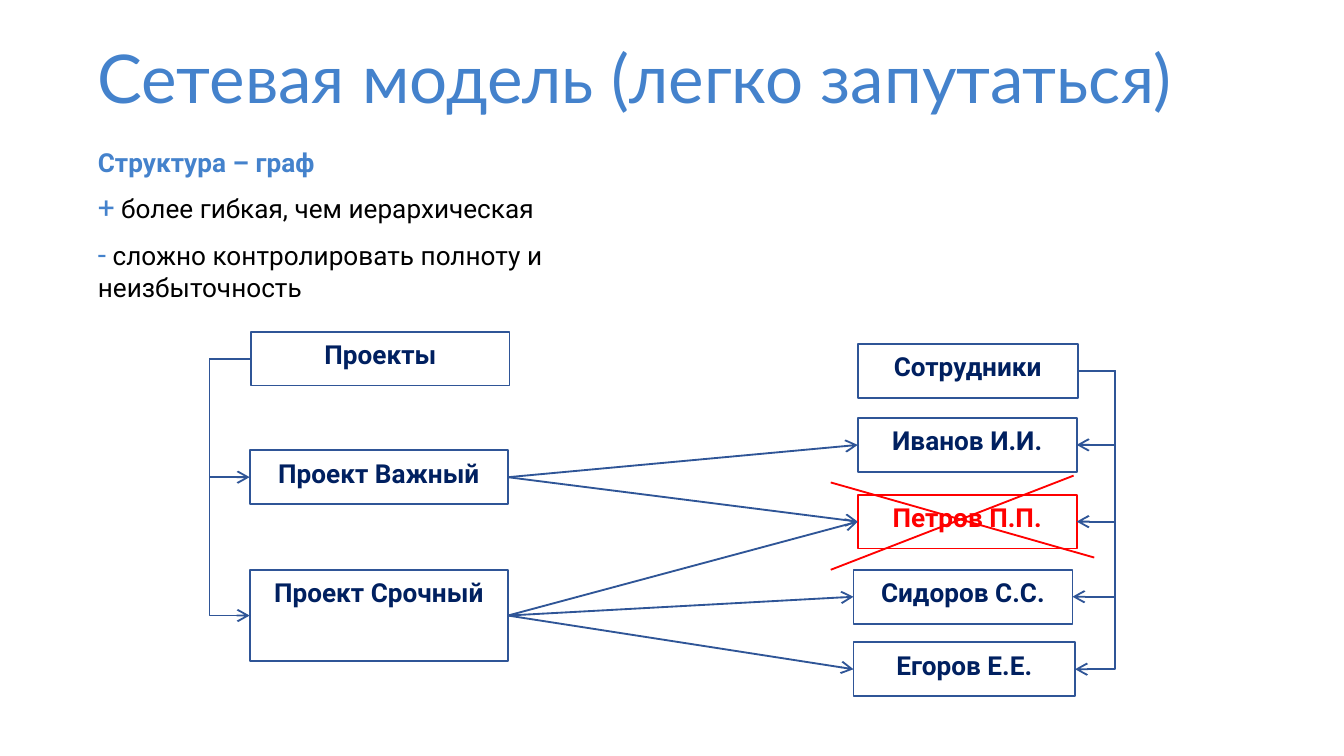
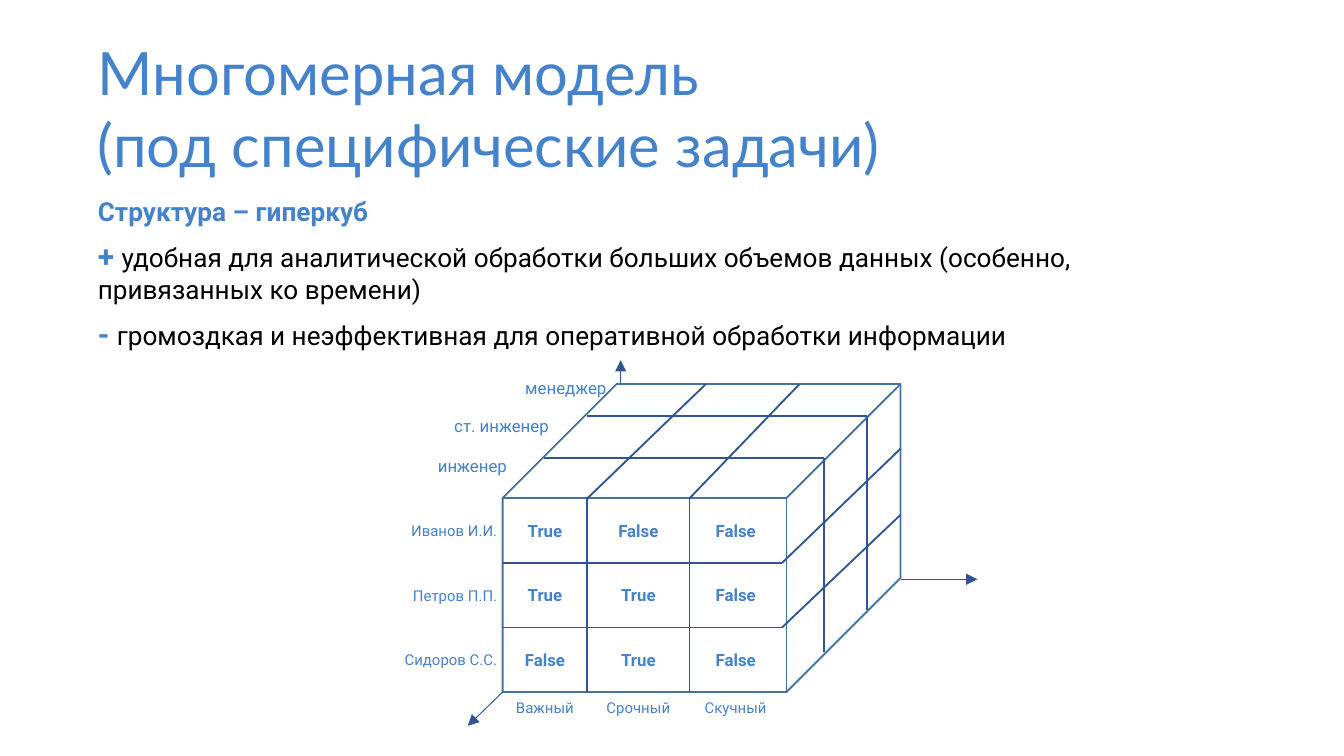
from lxml import etree
from pptx import Presentation
from pptx.dml.color import RGBColor
from pptx.enum.shapes import MSO_CONNECTOR, MSO_SHAPE
from pptx.enum.text import MSO_ANCHOR, PP_ALIGN
from pptx.oxml.ns import qn
from pptx.util import Cm, Pt

STRAIGHT, ELBOW = MSO_CONNECTOR.STRAIGHT, MSO_CONNECTOR.ELBOW
RECTANGLE, CUBE = MSO_SHAPE.RECTANGLE, MSO_SHAPE.CUBE
LEFT, CENTER, RIGHT = PP_ALIGN.LEFT, PP_ALIGN.CENTER, PP_ALIGN.RIGHT
TOP, MIDDLE = MSO_ANCHOR.TOP, MSO_ANCHOR.MIDDLE
LEFT_SIDE, RIGHT_SIDE = 1, 3

COLORS = {
    "accent": "4482CC",
    "text": "000000",
    "navy": "002060",
    "line": "2F5597",
    "cube": "43739E",
    "alert": "FF0000",
}
FORMATS = {
    "title": {"name": "Lato", "size": Pt(36)},
    "long_title": {"name": "Lato", "size": Pt(32)},
    "heading": {"name": "Roboto", "size": Pt(14), "bold": True},
    "body": {"name": "Roboto", "size": Pt(14), "bold": False},
    "sign": {"name": "Roboto", "size": Pt(16), "bold": False},
    "bold_sign": {"name": "Roboto", "size": Pt(16), "bold": True},
    "label": {"name": "Roboto", "size": Pt(8)},
    "depth_label": {"name": "Roboto", "size": Pt(9)},
    "cell": {"name": "Roboto", "size": Pt(9), "bold": True},
}
TIGHT = {
    "margin_left": Cm(0.1),
    "margin_right": Cm(0.1),
    "margin_top": Cm(0.13),
    "margin_bottom": Cm(0.13),
}


def rgb(color):
    return RGBColor.from_string(COLORS[color])


def set_all(target, values):
    for name, value in values.items():
        setattr(target, name, value)


def add_span(para, text, style, color):
    span = para.add_run()
    span.text = text
    set_all(span.font, FORMATS[style])
    span.font.color.rgb = rgb(color)


def fill_text(box, paragraphs, align=LEFT, anchor=TOP, space=0, margins=None):
    frame = box.text_frame
    set_all(frame, {"word_wrap": True, "vertical_anchor": anchor, **(margins or {})})
    for index, spans in enumerate(paragraphs):
        para = frame.paragraphs[0] if index == 0 else frame.add_paragraph()
        set_all(para, {"alignment": align, "space_after": Pt(space)})
        for span in spans:
            add_span(para, *span)


def add_text(page, place, paragraphs, **options):
    box = page.shapes.add_textbox(*map(Cm, place))
    fill_text(box, paragraphs, **options)


def add_label(page, place, text, style, align, anchor=TOP):
    add_text(page, place, [[(text, style, "accent")]],
             align=align, anchor=anchor, margins=TIGHT)


def add_title(page, lines, style, width, height):
    add_text(page, (1.6, 0.56, width, height),
             [[(line, style, "accent")] for line in lines])


def add_outline(page, kind, place, color):
    shape = page.shapes.add_shape(kind, *map(Cm, place))
    shape.shadow.inherit = False
    shape.fill.background()
    shape.line.color.rgb = rgb(color)
    shape.line.width = Pt(1)
    return shape


def add_box(page, text, place, color="navy", line="line"):
    box = add_outline(page, RECTANGLE, place, line)
    fill_text(box, [[(text, "heading", color)]], align=CENTER, margins=TIGHT)
    return box


def add_line(page, start=(0, 0), end=(0, 0), color="line", width=1, head=None, kind=STRAIGHT):
    line = page.shapes.add_connector(kind, *map(Cm, (*start, *end)))
    line.line.color.rgb = rgb(color)
    line.line.width = Pt(width)
    properties = line._element.spPr
    if head:
        etree.SubElement(properties.find(qn("a:ln")), qn("a:tailEnd"), type=head)
    etree.SubElement(properties, qn("a:effectLst"))
    return line


def join(page, source, target, source_side, target_side, kind=STRAIGHT):
    line = add_line(page, head="arrow", kind=kind)
    line.begin_connect(source, source_side)
    line.end_connect(target, target_side)
    return line


def add_branch(page, source, target, side, bend_x):
    line = join(page, source, target, side, side, ELBOW)
    ratio = (Cm(bend_x) - line.begin_x) / (line.end_x - line.begin_x)
    geometry = line._element.spPr.find(qn("a:prstGeom"))
    values = geometry.find(qn("a:avLst"))
    if values is None:
        values = etree.SubElement(geometry, qn("a:avLst"))
    etree.SubElement(values, qn("a:gd"), name="adj1", fmla=f"val {round(ratio * 100000)}")


def build_network(page):
    add_title(page, ["Сетевая модель (легко запутаться)"], "title", 23.47, 1.8)
    add_text(page, (1.6, 2.64, 12.7, 2.64), [
        [("Структура – граф", "heading", "accent")],
        [("+", "sign", "accent"), (" более гибкая, чем иерархическая", "body", "text")],
        [("-", "sign", "accent"),
         (" сложно контролировать полноту и неизбыточность", "body", "text")],
    ], space=6)

    projects = add_box(page, "Проекты", (4.75, 6.27, 4.88, 1.02))
    important = add_box(page, "Проект Важный", (4.72, 8.51, 4.88, 1.02))
    urgent = add_box(page, "Проект Срочный", (4.72, 10.77, 4.88, 1.73))
    staff = add_box(page, "Сотрудники", (16.21, 6.5, 4.16, 1.02))
    ivanov = add_box(page, "Иванов И.И.", (16.21, 7.9, 4.14, 1.02))
    petrov = add_box(page, "Петров П.П.", (16.21, 9.35, 4.14, 1.02), "alert", "alert")
    sidorov = add_box(page, "Сидоров С.С.", (16.13, 10.77, 4.14, 1.02))
    egorov = add_box(page, "Егоров Е.Е.", (16.13, 12.14, 4.19, 1.02))

    assignments = [(important, (ivanov, petrov)), (urgent, (petrov, sidorov, egorov))]
    for project, people in assignments:
        for person in people:
            join(page, project, person, RIGHT_SIDE, LEFT_SIDE)
    for person in (ivanov, petrov, sidorov, egorov):
        add_branch(page, staff, person, RIGHT_SIDE, 21.08)
    for project in (important, urgent):
        add_branch(page, projects, project, LEFT_SIDE, 3.96)
    add_line(page, (15.7, 9.12), (20.68, 10.54), "alert")
    add_line(page, (15.7, 10.77), (20.29, 8.99), "alert")


def build_cube(page):
    add_title(page, ["Многомерная модель", "(под специфические задачи)"],
              "long_title", 25.81, 3)
    add_text(page, (1.6, 3.56, 20.93, 3.25), [
        [("Структура – гиперкуб", "heading", "accent")],
        [("+ ", "bold_sign", "accent"),
         ("удобная для аналитической обработки больших объемов данных "
          "(особенно, привязанных ко времени)", "body", "text")],
        [("- ", "bold_sign", "accent"),
         ("громоздкая и неэффективная для оперативной обработки информации",
          "body", "text")],
    ], space=6)

    columns = [9.5, 11.1, 13.03, 14.78]
    row_height = 1.22
    rows = [9.42 + row_height * index for index in range(4)]
    front_left, front_right = columns[0], columns[-1]
    front_top, front_bottom = rows[0], rows[-1]
    back_top, back_right = 7.26, 17.02

    cube = add_outline(page, CUBE, (front_left, back_top, 7.52, 5.82), "cube")
    cube.adjustments[0] = 0.37
    for x, back_x in zip(columns[1:3], (13.34, 15.11)):
        add_line(page, (x, front_top), (x, front_bottom))
        add_line(page, (x, front_top), (back_x, back_top))
    for y, back_y in zip(rows[1:3], (8.48, 9.73)):
        add_line(page, (front_left, y), (front_right, y))
        add_line(page, (front_right, y), (back_right, back_y))
    for x, y in ((11.1, 7.87), (10.29, 8.66)):
        corner = x + front_right - front_left
        add_line(page, (x, y), (corner, y))
        add_line(page, (corner, y), (corner, y + front_bottom - front_top))
    axes = [((front_left, front_bottom), (8.84, 13.72)),
            ((back_right, 10.95), (18.47, 10.95)),
            ((11.73, back_top), (11.73, 6.81))]
    for start, end in axes:
        add_line(page, start, end, width=0.5, head="triangle")

    projects = ["Важный", "Срочный", "Скучный"]
    people = {
        "Иванов И.И.": ["True", "False", "False"],
        "Петров П.П.": ["True", "True", "False"],
        "Сидоров С.С.": ["False", "True", "False"],
    }
    spans = [(x, right - x) for x, right in zip(columns, columns[1:])]
    for project, (x, width) in zip(projects, spans):
        add_label(page, (x, front_bottom, width, 0.66), project, "label", CENTER)
    for y, (person, answers) in zip(rows, people.items()):
        add_label(page, (6.93, y + 0.31, 2.57, 0.66), person, "label", RIGHT)
        for answer, (x, width) in zip(answers, spans):
            add_label(page, (x, y, width, row_height), answer, "cell", CENTER, MIDDLE)
    positions = [("менеджер", 9.17, 7.01, 2.39),
                 ("ст. инженер", 7.9, 7.72, 2.57),
                 ("инженер", 7.75, 8.48, 1.93)]
    for position, x, y, width in positions:
        add_label(page, (x, y, width, 0.71), position, "depth_label", RIGHT)


def main():
    deck = Presentation()
    set_all(deck, {"slide_width": Cm(25.4), "slide_height": Cm(14.29)})
    for build in (build_network, build_cube):
        build(deck.slides.add_slide(deck.slide_layouts[6]))
    deck.save("out.pptx")


if __name__ == "__main__":
    main()
